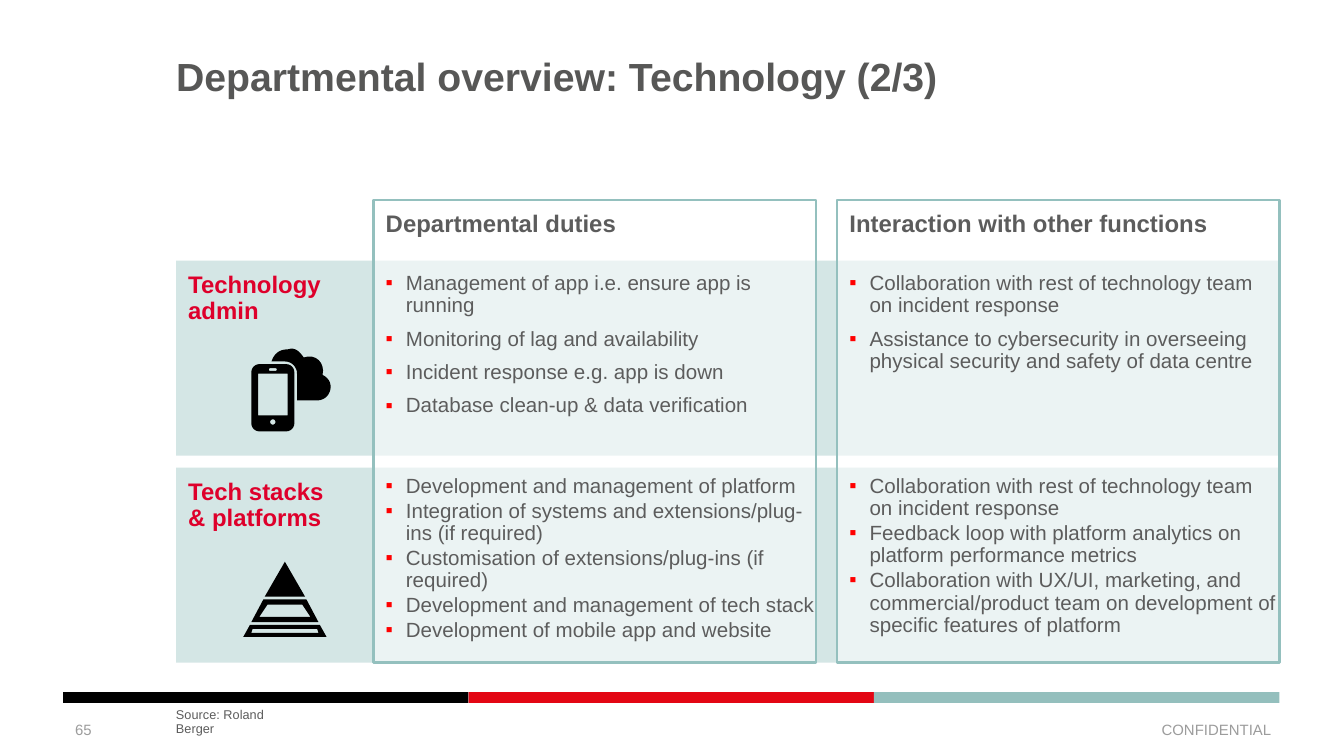
import math

import pptx
import pptx.dml.color
import pptx.enum.shapes
import pptx.enum.text
import pptx.oxml
import pptx.oxml.ns
import pptx.util
from lxml import etree

Inches, Pt = pptx.util.Inches, pptx.util.Pt
RGB = pptx.dml.color.RGBColor.from_string
ANCHOR, ALIGN = pptx.enum.text.MSO_ANCHOR, pptx.enum.text.PP_ALIGN
RECTANGLE = pptx.enum.shapes.MSO_SHAPE.RECTANGLE
qn = pptx.oxml.ns.qn

THEME = {
    "font": "Arial",
    "title": (21, "575756"), "heading": (12.8, "5C5C5C"), "label": (12.8, "DE002B"),
    "body": (11, "5C5C5C"), "footer": (8, "9C9C9C"), "source": (6.8, "5C5C5C"),
    "band": "D4E6E5", "panel": "FFFFFF", "outline": "94C0BE", "bullet": "FF0000",
    "icon": "000000", "bar": ("000000", "E30613", "94BFBD"),
}

# Grid: a label column, two panel columns and two rows
LEFT, RIGHT = 1.31, 9.52
PANEL_LEFT, PANEL_WIDTH, PANEL_PITCH = 2.78, 3.29, 3.45
PANEL_TOP, PANEL_HEIGHT = 1.49, 3.44
ROW_TOP, ROW_HEIGHT, ROW_PITCH = 1.94, 1.45, 1.54
PADDED = (0.09, 0.09, 0, 0)


def write(shape, text, style, bold=False, insets=(0, 0, 0, 0), anchor=ANCHOR.TOP,
          align=ALIGN.LEFT, spacing=0.9, gap=0):
    frame = shape.text_frame
    frame.text = text
    frame.word_wrap = True
    frame.auto_size = pptx.enum.text.MSO_AUTO_SIZE.NONE
    frame.vertical_anchor = anchor
    (frame.margin_left, frame.margin_top,
     frame.margin_right, frame.margin_bottom) = map(Inches, insets)
    size, color = THEME[style]
    for number, paragraph in enumerate(frame.paragraphs):
        paragraph.alignment = align
        paragraph.line_spacing = spacing
        paragraph.space_before = Pt(gap if number else 0)
        for run in paragraph.runs:
            run.font.name, run.font.size, run.font.bold = THEME["font"], Pt(size), bold
            run.font.color.rgb = RGB(color)


def draw_icon(contours):
    builder = None
    for contour in contours:
        first, *rest = [(Inches(x), Inches(y)) for x, y in contour]
        if builder is None:
            builder = slide.shapes.build_freeform(*first)
        else:
            builder.move_to(*first)
        builder.add_line_segments(rest, close=True)
    icon = builder.convert_to_shape()
    icon.shadow.inherit = False
    icon.fill.solid()
    icon.fill.fore_color.rgb = RGB(THEME["icon"])
    icon.line.fill.background()


deck = pptx.Presentation()
deck.slide_width = Inches(10)
deck.slide_height = deck.slide_width * 9 // 16
slide = deck.slides.add_slide(deck.slide_layouts.get_by_name("Comparison"))
title, *list_holders = slide.placeholders

# Footer bar
bar_left = 0.47
bar_width = (RIGHT - bar_left) / 3
for number, color in enumerate(THEME["bar"]):
    segment = slide.shapes.add_shape(
        RECTANGLE, Inches(bar_left + number * bar_width), Inches(5.15),
        Inches(bar_width), Inches(0.08))
    segment.shadow.inherit = False
    segment.fill.solid()
    segment.fill.fore_color.rgb = RGB(color)
    segment.line.fill.background()

# Title
title.left, title.top, title.width, title.height = map(Inches, (LEFT, 0.43, 8.09, 0.94))
write(title, "Departmental overview: Technology (2/3)", "title", bold=True)

# Row bands
for row, label in enumerate(("Technology\vadmin", "Tech stacks\v& platforms")):
    band = slide.shapes.add_shape(
        RECTANGLE, Inches(LEFT), Inches(ROW_TOP + row * ROW_PITCH),
        Inches(RIGHT - LEFT), Inches(ROW_HEIGHT))
    band.shadow.inherit = False
    band.fill.solid()
    band.fill.fore_color.rgb = RGB(THEME["band"])
    band.line.fill.background()
    write(band, label, "label", bold=True, insets=PADDED)

# Translucent column panels
for column, heading in enumerate(("Departmental duties", "Interaction with other functions")):
    panel = slide.shapes.add_shape(
        RECTANGLE, Inches(PANEL_LEFT + column * PANEL_PITCH), Inches(PANEL_TOP),
        Inches(PANEL_WIDTH), Inches(PANEL_HEIGHT))
    panel.shadow.inherit = False
    panel.fill.solid()
    panel.fill.fore_color.rgb = RGB(THEME["panel"])
    tint = panel.fill._xPr.find(".//" + qn("a:srgbClr"))
    etree.SubElement(tint, qn("a:alpha"), val="55000")
    panel.line.color.rgb = RGB(THEME["outline"])
    panel.line.width = Pt(1.25)
    write(panel, heading, "heading", bold=True, insets=PADDED)

# Bulleted lists: column, top, width, height, paragraph gap, items
lists = (
    (0, ROW_TOP, 3.12, 1.17, 6, (
        "Management of app i.e. ensure app is running",
        "Monitoring of lag and availability",
        "Incident response e.g. app is down",
        "Database clean-up & data verification")),
    (1, ROW_TOP, PANEL_WIDTH, 0.84, 6, (
        "Collaboration with rest of technology team on incident response",
        "Assistance to cybersecurity in overseeing physical security and safety of data centre")),
    (1, 3.45, PANEL_WIDTH, 1.31, 1.5, (
        "Collaboration with rest of technology team on incident response",
        "Feedback loop with platform analytics on platform performance metrics",
        "Collaboration with UX/UI, marketing, and commercial/product team on development of "
        "specific features of platform")),
    (0, 3.45, PANEL_WIDTH, 1.37, 1.5, (
        "Development and management of platform",
        "Integration of systems and extensions/plug-ins (if required)",
        "Customisation of extensions/plug-ins (if required)",
        "Development and management of tech stack",
        "Development of mobile app and website")),
)
for holder, (column, top, width, height, gap, items) in zip(list_holders, lists):
    slide.shapes._spTree.append(holder._element)  # in front of the panels
    holder.left, holder.top = Inches(PANEL_LEFT + column * PANEL_PITCH), Inches(top)
    holder.width, holder.height = Inches(width), Inches(height)
    write(holder, "\n".join(items), "body", insets=PADDED, gap=gap)
    for paragraph in holder.text_frame.paragraphs:
        properties = paragraph._p.get_or_add_pPr()
        properties.set("marL", str(Inches(0.15)))
        properties.set("indent", str(-Inches(0.15)))
        bullet_color = etree.SubElement(properties, qn("a:buClr"))
        etree.SubElement(bullet_color, qn("a:srgbClr"), val=THEME["bullet"])
        etree.SubElement(properties, qn("a:buFont"), typeface=THEME["font"])
        etree.SubElement(properties, qn("a:buChar"), char="▪")

# Phone and cloud icon: the cloud's curves are sampled from control points
cloud = [(2.02, 2.69)]
for bend_out, bend_in, end in (
    ((2.04, 2.63), (2.08, 2.6), (2.14, 2.6)),
    ((2.2, 2.58), (2.23, 2.62), (2.26, 2.66)),
    ((2.35, 2.63), (2.42, 2.7), (2.4, 2.79)),
    ((2.44, 2.81), (2.46, 2.84), (2.46, 2.88)),
    ((2.46, 2.93), (2.42, 2.98), (2.36, 2.98)),
    ((2.21, 2.98), (2.21, 2.98), (2.21, 2.98)),
    ((2.21, 2.78), (2.21, 2.78), (2.21, 2.78)),
    ((2.21, 2.73), (2.17, 2.69), (2.12, 2.69)),
):
    start = cloud[-1]
    for t in (step / 8 for step in range(1, 9)):
        weights = ((1 - t) ** 3, 3 * t * (1 - t) ** 2, 3 * t * t * (1 - t), t ** 3)
        cloud.append(tuple(
            sum(weight * value for weight, value in zip(weights, axis))
            for axis in zip(start, bend_out, bend_in, end)))

# Body, speaker, button and screen: left, top, width, height, corner radius
phone = []
for left, top, width, height, radius in (
    (1.87, 2.71, 0.32, 0.5, 0.06), (2, 2.74, 0.06, 0.02, 0.01),
    (2.01, 3.12, 0.04, 0.04, 0.02), (1.92, 2.78, 0.22, 0.31, 0),
):
    phone.append([
        (left + (width - radius if corner in (0, 3) else radius)
         + radius * math.cos(math.radians(90 * corner + turn)),
         top + (height - radius if corner in (0, 1) else radius)
         + radius * math.sin(math.radians(90 * corner + turn)))
        for corner in range(4) for turn in range(0, 91, 15)])
draw_icon([cloud, *phone])

# Pyramid icon: the tip, then slabs and their openings as top, bottom, half widths
pyramid_centre = 2.12
slabs = ((4.18, 4.44, 0, 0.15), (4.46, 4.63, 0.16, 0.25), (4.5, 4.59, 0.13, 0.19),
         (4.65, 4.74, 0.26, 0.31), (4.68, 4.71, 0.24, 0.25))
draw_icon([
    [(pyramid_centre - upper, top), (pyramid_centre + upper, top),
     (pyramid_centre + lower, bottom), (pyramid_centre - lower, bottom)]
    for top, bottom, upper, lower in slabs])

# Footer texts
default_insets = (0.1, 0.05, 0.1, 0.05)
for text, style, box, insets, anchor, align, spacing in (
    ("CONFIDENTIAL", "footer", (7.23, 5.28, 2.33, 0.3), default_insets,
     ANCHOR.MIDDLE, ALIGN.RIGHT, 1.0),
    ("65", "footer", (0.46, 5.28, 0.85, 0.3), default_insets, ANCHOR.MIDDLE, ALIGN.LEFT, 1.0),
    ("Source: Roland Berger", "source", (LEFT, 5.28, 0.87, 0.2), (0, 0, 0, 0),
     ANCHOR.BOTTOM, ALIGN.LEFT, 0.9),
):
    note = slide.shapes.add_textbox(*map(Inches, box))
    write(note, text, style, insets=insets, anchor=anchor, align=align, spacing=spacing)

deck.save("out.pptx")
